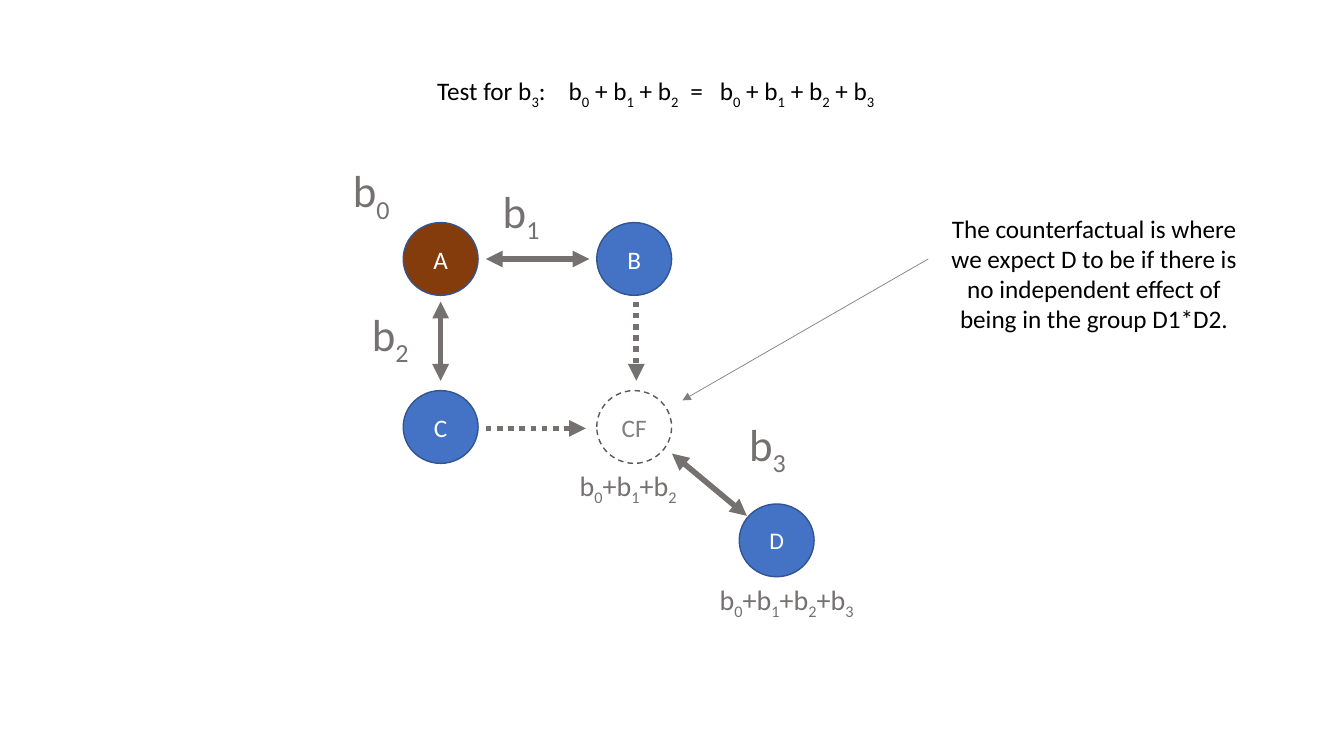
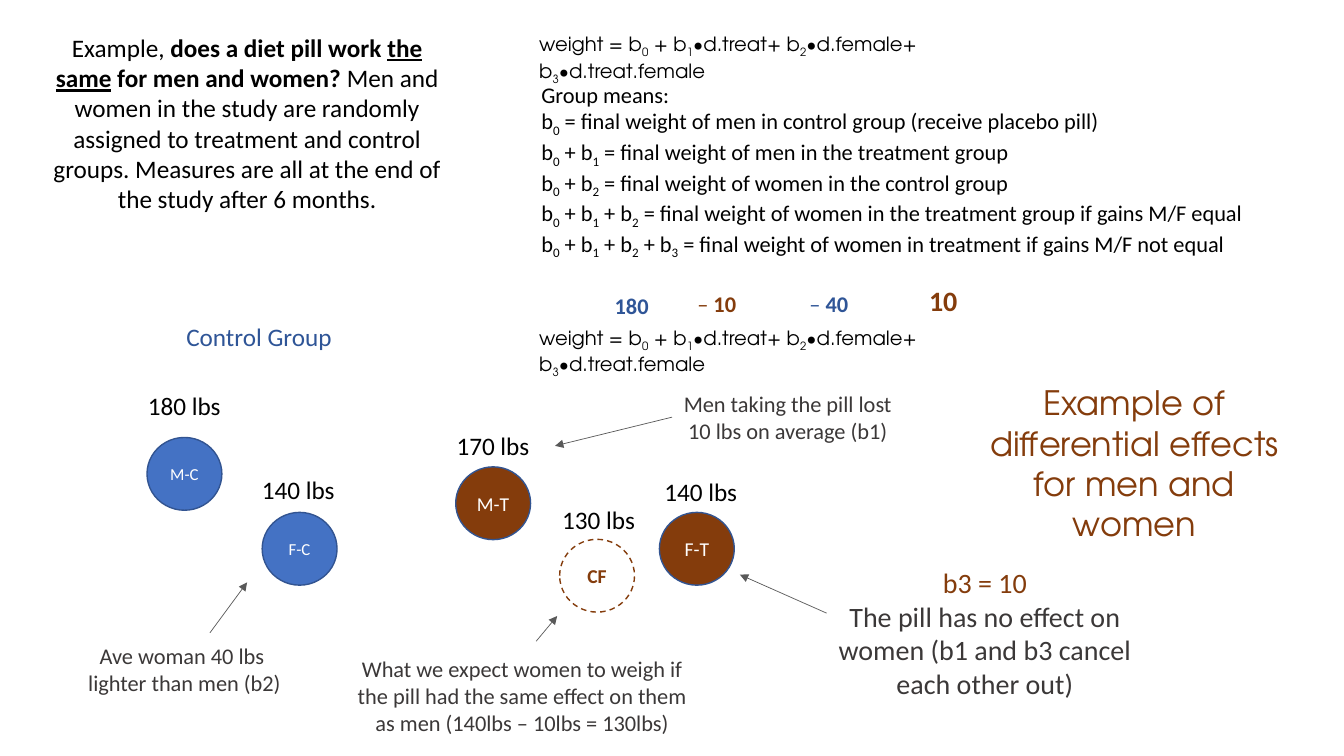
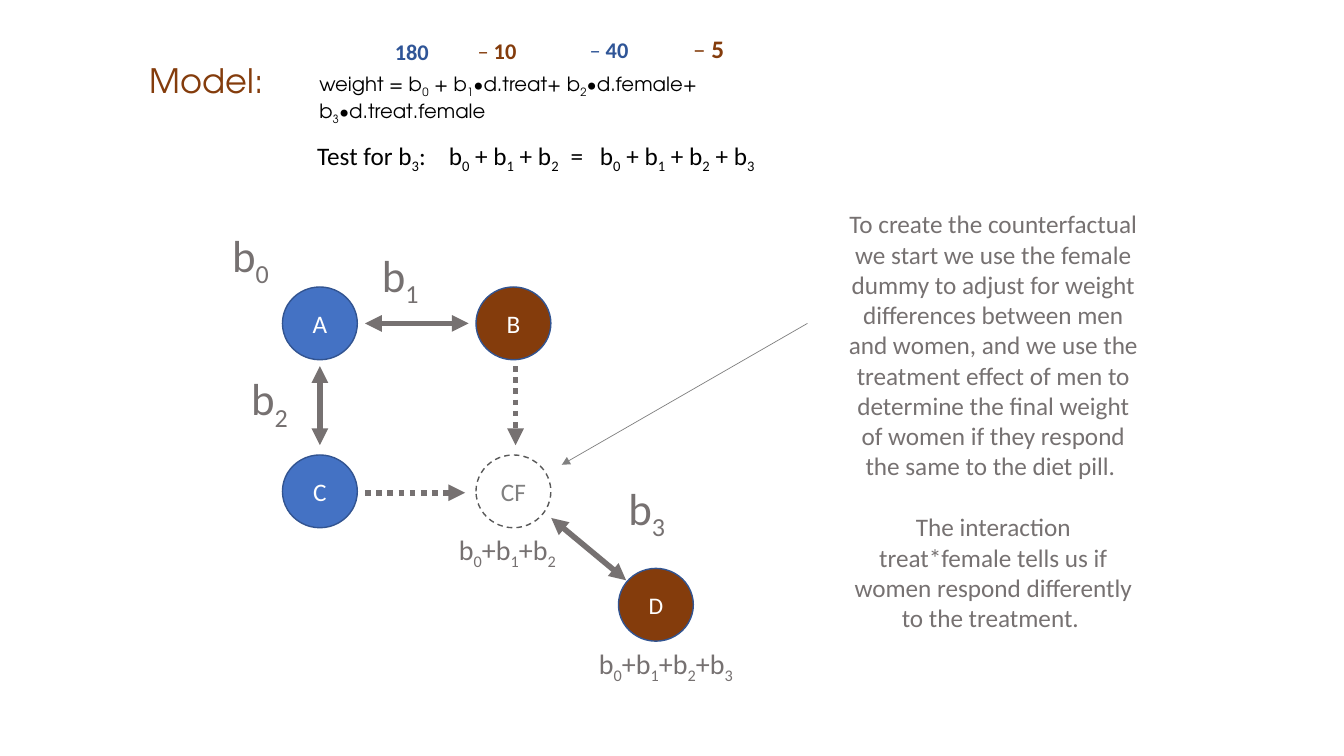
from dataclasses import dataclass

from pptx import Presentation
from pptx.dml.color import RGBColor
from pptx.enum.dml import MSO_LINE as Dash
from pptx.enum.shapes import MSO_CONNECTOR as Link, MSO_SHAPE as Preset
from pptx.enum.text import MSO_ANCHOR as Anchor, MSO_AUTO_SIZE as Fit, PP_ALIGN as Align
from pptx.oxml.ns import qn
from pptx.util import Pt
from lxml.etree import SubElement

COLORS = {
    "black": "000000", "white": "FFFFFF", "brown": "843C0C", "blue": "4472C4",
    "navy": "2F5597", "outline": "325491", "gray": "767171", "midgray": "808080",
    "darkgray": "595959", "charcoal": "3B3838",
}
BODY_FONT = "Calibri"
TITLE_FONT = "TeX Gyre Adventor"
NODE_WIDTH, NODE_HEIGHT = 53.5, 52
TITLE_ONLY, TITLE_AND_CONTENT = 5, 1

MODEL = "weight = b_0 + b_1∙d.treat+ b_2∙d.female+ b_3∙d.treat.female"
TEST = "Test for b_3:\tb_0 + b_1 + b_2\t=\tb_0 + b_1 + b_2 + b_3"
TEST_TABS = (94, 181, 202)


@dataclass(frozen=True)
class Span:
    """A stretch of text; unset fields follow the paragraph."""
    text: str
    bold: bool | None = None
    underline: bool = False
    color: str | None = None


@dataclass(frozen=True)
class Node:
    name: str
    left: float
    top: float
    fill: str | None = "blue"
    size: float = 18
    color: str = "white"
    outline: str = "outline"
    bold: bool = False


@dataclass(frozen=True)
class Arrow:
    start: tuple[float, float]
    end: tuple[float, float]
    color: str = "gray"
    weight: float = 4
    both: bool = False
    dotted: bool = False


@dataclass(frozen=True)
class Label:
    text: str | tuple[Span, ...]
    left: float
    top: float
    width: float
    height: float
    size: float = 18
    color: str = "black"
    bold: bool = False


def rgb(name: str) -> RGBColor:
    return RGBColor.from_string(COLORS[name])


def write(box, *paragraphs, size=18, color="black", font=BODY_FONT, bold=False,
          align=Align.LEFT, anchor=Anchor.TOP, gap=0, tabs=()):
    """Fill a shape; "_" lowers the character after it, gap parts the paragraphs."""
    frame = box.text_frame
    frame.word_wrap = True
    frame.auto_size = Fit.NONE
    frame.vertical_anchor = anchor
    for index, content in enumerate(paragraphs):
        para = frame.add_paragraph() if index else frame.paragraphs[0]
        para.alignment = align
        para.space_before = Pt(gap if index else 0)
        if tabs:
            stops = SubElement(para._p.get_or_add_pPr(), qn("a:tabLst"))
            for stop in tabs:
                SubElement(stops, qn("a:tab"), pos=str(Pt(stop)), algn="l")
        for span in (Span(content),) if isinstance(content, str) else content:
            first, *rest = span.text.split("_")
            pieces = [(first, False)]
            for part in rest:
                pieces += [(part[0], True), (part[1:], False)]
            for piece, lowered in pieces:
                if not piece:
                    continue
                run = para.add_run()
                run.text = piece
                run.font.name = font
                run.font.size = Pt(size)
                run.font.bold = bold if span.bold is None else span.bold
                run.font.underline = span.underline
                run.font.color.rgb = rgb(span.color or color)
                if lowered:
                    run._r.get_or_add_rPr().set("baseline", "-25000")
    return box


def place(box, left: float, top: float, width: float, height: float):
    box.left, box.top, box.width, box.height = Pt(left), Pt(top), Pt(width), Pt(height)
    return box


def text_box(page, left: float, top: float, width: float, height: float):
    return page.shapes.add_textbox(Pt(left), Pt(top), Pt(width), Pt(height))


def add_label(page, label: Label, dx: float = 0, dy: float = 0) -> None:
    box = text_box(page, label.left + dx, label.top + dy, label.width, label.height)
    write(box, label.text, size=label.size, color=label.color, bold=label.bold)


def add_title(page, text: str, *area: float) -> None:
    write(place(page.shapes.title, *area), text, size=24, color="brown",
          font=TITLE_FONT, align=Align.CENTER)


def add_node(page, node: Node, dx: float = 0, dy: float = 0) -> None:
    circle = page.shapes.add_shape(Preset.OVAL, Pt(node.left + dx), Pt(node.top + dy),
                                   Pt(NODE_WIDTH), Pt(NODE_HEIGHT))
    circle.shadow.inherit = False
    circle.line.color.rgb = rgb(node.outline)
    circle.line.width = Pt(1)
    if node.fill:
        circle.fill.solid()
        circle.fill.fore_color.rgb = rgb(node.fill)
    else:
        circle.fill.background()
        circle.line.dash_style = Dash.DASH
    frame = circle.text_frame
    frame.margin_left = frame.margin_right = frame.margin_top = frame.margin_bottom = 0
    write(circle, node.name, size=node.size, color=node.color, bold=node.bold,
          align=Align.CENTER, anchor=Anchor.MIDDLE)


def add_arrow(page, arrow: Arrow, dx: float = 0, dy: float = 0):
    (x1, y1), (x2, y2) = arrow.start, arrow.end
    link = page.shapes.add_connector(Link.STRAIGHT, Pt(x1 + dx), Pt(y1 + dy),
                                     Pt(x2 + dx), Pt(y2 + dy))
    link.line.color.rgb = rgb(arrow.color)
    link.line.width = Pt(arrow.weight)
    if arrow.dotted:
        link.line.dash_style = Dash.ROUND_DOT
    outline = link._element.spPr.find(qn("a:ln"))
    for tip in ("a:headEnd", "a:tailEnd") if arrow.both else ("a:tailEnd",):
        SubElement(outline, qn(tip), type="triangle")
    SubElement(link._element.spPr, qn("a:effectLst"))
    return link


DIAGRAM_ARROWS = (
    Arrow((347, 185), (421, 185), both=True),
    Arrow((480, 324), (533.5, 368.5), both=True),
    Arrow((314.75, 215.5), (314.75, 272), both=True),
    Arrow((454.5, 215.5), (454.5, 272), dotted=True),
    Arrow((347, 306), (418.5, 306), dotted=True),
    Arrow((663, 185), (487.5, 286), color="midgray", weight=0.5),
)
DIAGRAM_LABELS = (
    *(Label(f"b_{number}", left, top, 44, 46, 32, "gray") for number, (left, top)
      in enumerate([(245, 113), (352, 127.5), (258.5, 215.5), (528, 294)])),
    Label("b_0+b_1+b_2", 407, 331, 89, 32, 20, "gray"),
    Label("b_0+b_1+b_2+b_3", 507, 412.5, 120, 32, 20, "gray"),
)


def add_diagram(page, fills: dict[str, str], dx: float = 0, dy: float = 0) -> None:
    """Draw the four groups, the counterfactual and the effects between them."""
    nodes = (
        Node("A", 288, 159, fills["A"]),
        Node("B", 426.25, 159, fills["B"]),
        Node("C", 288, 279, fills["C"]),
        Node("D", 528, 360, fills["D"], size=17),
        Node("CF", 426.25, 279, None, color="midgray", outline="darkgray"),
    )
    for node in nodes:
        add_node(page, node, dx, dy)
    for arrow in DIAGRAM_ARROWS:
        add_arrow(page, arrow, dx, dy)
    for label in DIAGRAM_LABELS:
        add_label(page, label, dx, dy)


def add_equation(page, left: float, top: float) -> None:
    write(text_box(page, left, top, 398, 24), MODEL, size=14, font=TITLE_FONT)


def minus(number: str) -> tuple[Span, ...]:
    return Span("– "), Span(number, bold=True)


def add_valued_equation(page, left: float, top: float, interaction: Label) -> None:
    """Set the model with its estimates above; the labels are relative to it."""
    add_equation(page, left, top)
    estimates = (
        Label("180", 54, -24, 41, 27, 16, "navy", bold=True),
        Label(minus("10"), 113, -25, 48, 27, 16, "brown"),
        Label(minus("40"), 193, -25.5, 48, 27, 16, "navy"),
        interaction,
    )
    for label in estimates:
        add_label(page, label, left, top)


def build_test(deck) -> None:
    page = deck.slides.add_slide(deck.slide_layouts[TITLE_ONLY])
    write(place(page.shapes.title, 305, 50.5, 345, 29), TEST, tabs=TEST_TABS)
    add_diagram(page, {"A": "brown", "B": "blue", "C": "blue", "D": "blue"})
    write(text_box(page, 670.5, 148.5, 222, 94.5),
          "The counterfactual is where we expect D to be if there is no independent "
          "effect of being in the group D1*D2.", align=Align.CENTER)


def build_example(deck) -> None:
    page = deck.slides.add_slide(deck.slide_layouts[TITLE_AND_CONTENT])
    add_title(page, "Example of differential effects for men and women", 694, 269.5, 232.5, 124)

    means = write(
        place(page.placeholders[1], 379.5, 54, 526, 137),
        "Group means:",
        "b_0 = final weight of men in control group (receive placebo pill)",
        "b_0 + b_1 = final weight of men in the treatment group",
        "b_0 + b_2 = final weight of women in the control group",
        "b_0 + b_1 + b_2 = final weight of women in the treatment group if gains M/F equal",
        "b_0 + b_1 + b_2 + b_3 = final weight of women in treatment if gains M/F not equal",
        size=16)
    for para in means.text_frame.paragraphs:
        layout = para._p.get_or_add_pPr()
        layout.set("marL", "0")
        layout.set("indent", "0")
        SubElement(layout, qn("a:buNone"))

    question = (
        Span("Example, "),
        Span("does a diet pill work ", bold=True),
        Span("the same", bold=True, underline=True),
        Span(" for men and women? ", bold=True),
        Span("Men and women in the study are randomly assigned to treatment and control "
             "groups. Measures are all at the end of the study after 6 months."),
    )
    write(text_box(page, 27.5, 19.5, 298, 138), question, align=Align.CENTER)
    add_equation(page, 378, 19.5)
    add_valued_equation(page, 378, 229, Label("10", 278.5, -30, 38, 32, 20, "brown", bold=True))
    add_label(page, Label("Control Group", 126, 226, 122, 29, color="navy"))

    nodes = (
        Node("M-C", 105, 312.5, size=12),
        Node("F-C", 187.25, 366, size=12),
        Node("M-T", 325.5, 333.5, "brown", 14),
        Node("CF", 399.75, 385.25, None, 14, "brown", "brown", bold=True),
        Node("F-T", 471, 366, "brown", 14),
    )
    for node in nodes:
        add_node(page, node)
    weights = (("180", 98.5, 275), ("140", 180, 335.5), ("170", 319, 304),
               ("130", 394.5, 356.5), ("140", 467.5, 337))
    for pounds, left, top in weights:
        add_label(page, Label(f"{pounds} lbs", left, top, 70, 29))

    note = {"size": 16, "color": "charcoal", "align": Align.CENTER}
    write(text_box(page, 54.5, 455, 154.5, 46),
          "Ave woman 40 lbs ", "lighter than men (b2)", **note)
    men_note = write(text_box(page, 480, 275, 165.5, 46),
                     "Men taking the pill lost", "10 lbs on average (b1)", **note)
    write(text_box(page, 247, 464.5, 252, 65.5),
          "What we expect women to weigh if the pill had the same effect on them as men "
          "(140lbs – 10lbs = 130lbs)", **note)
    write(text_box(page, 577.5, 400.5, 252, 104.5), (Span("b3 = 10", color="brown"),),
          "The pill has no effect on women (b1 and b3 cancel each other out)",
          **{**note, "size": 20})

    pointers = (((480, 298), (396.5, 318.5)), ((150, 452), (176.5, 416)),
                ((383, 458), (398, 440)), ((590.5, 438), (528.5, 410.5)))
    men_pointer, *_ = [add_arrow(page, Arrow(start, end, "darkgray", 0.5))
                       for start, end in pointers]
    men_pointer.begin_connect(men_note, 1)


def build_model(deck) -> None:
    page = deck.slides.add_slide(deck.slide_layouts[TITLE_ONLY])
    add_title(page, "Model:", 31.5, 39.5, 232.5, 36)
    add_valued_equation(page, 221, 48, Label(minus("5"), 267, -27.5, 42, 29, 18, "brown"))
    write(text_box(page, 219.5, 96.5, 345, 29), TEST, tabs=TEST_TABS)
    add_diagram(page, {"A": "blue", "B": "brown", "C": "blue", "D": "brown"}, -86.25, 46)
    write(text_box(page, 598.5, 145.5, 222, 312.5),
          "To create the counterfactual we start we use the female dummy to adjust for "
          "weight differences between men and women, and we use the treatment effect of "
          "men to determine the final weight of women if they respond the same to the "
          "diet pill. ",
          "The interaction treat*female tells us if women respond differently to the "
          "treatment. ",
          color="gray", align=Align.CENTER, gap=22)


def main() -> None:
    deck = Presentation()
    deck.slide_width, deck.slide_height = Pt(960), Pt(540)
    for build in (build_test, build_example, build_model):
        build(deck)
    deck.save("out.pptx")


if __name__ == "__main__":
    main()
